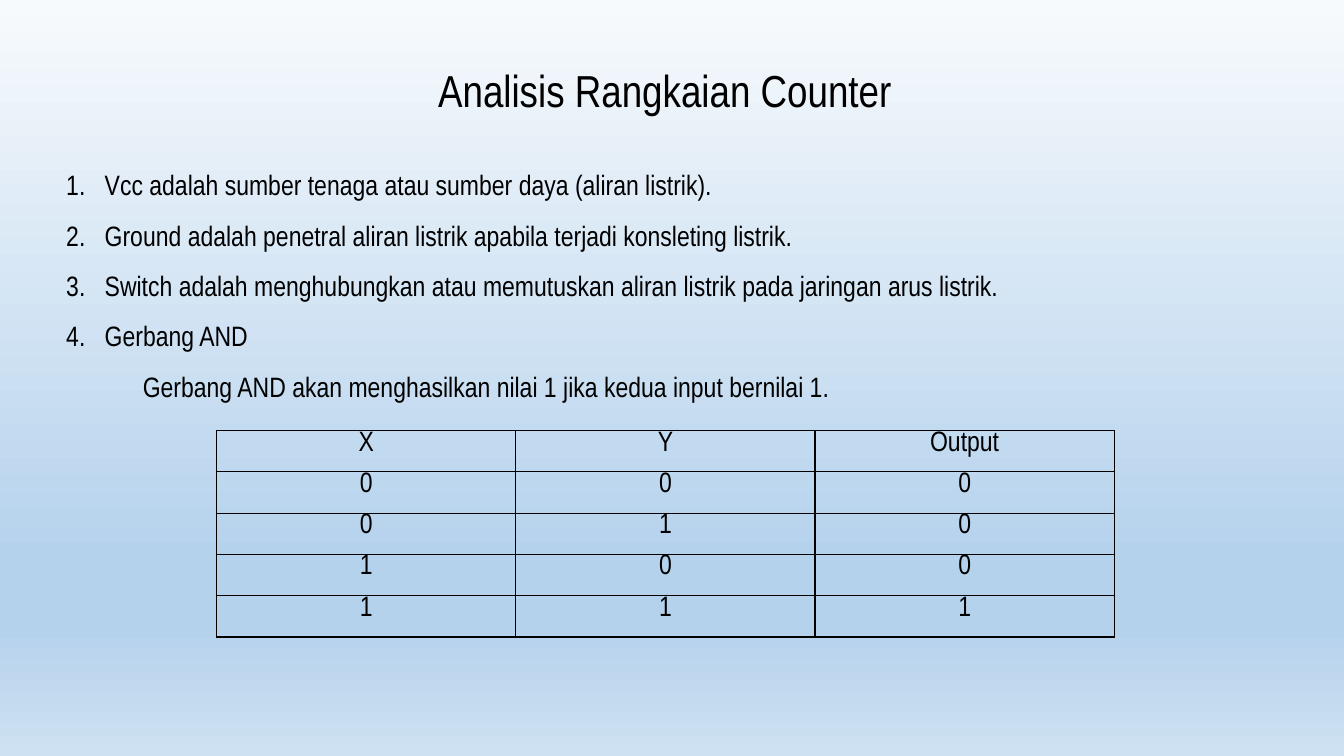
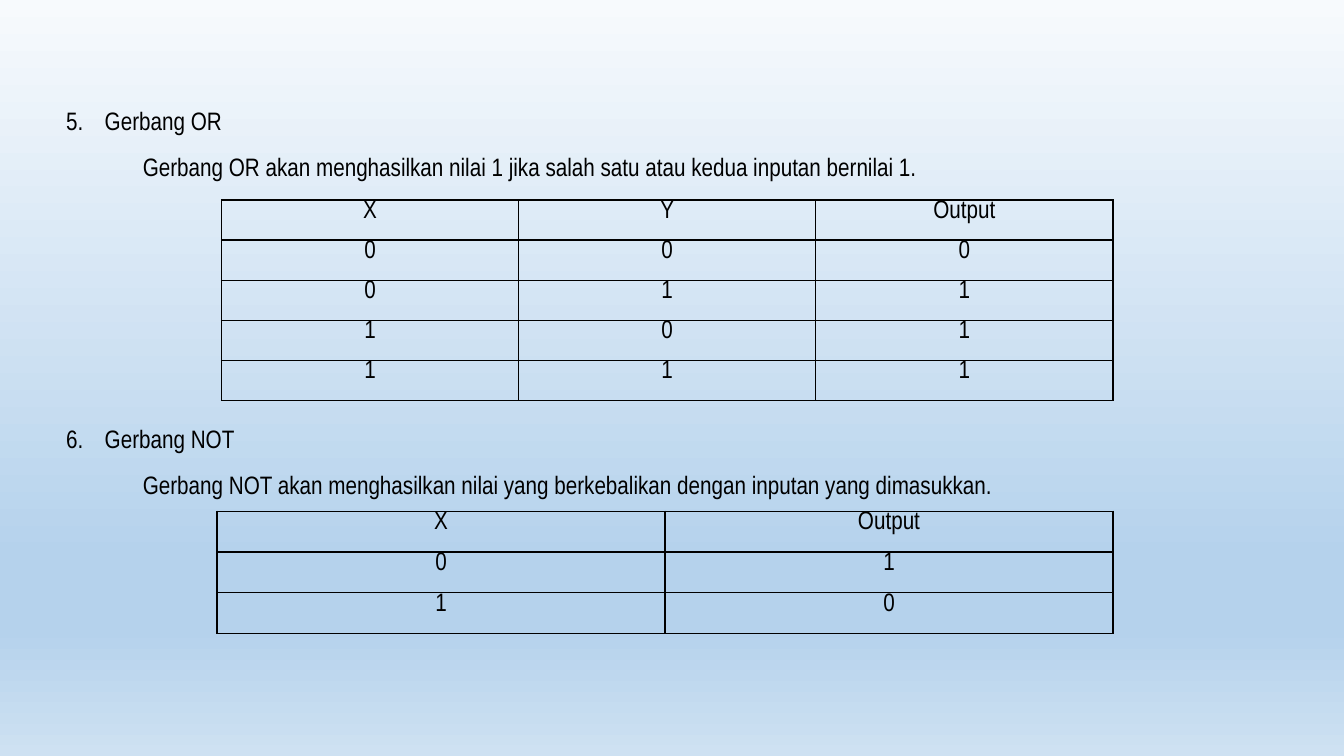
import pptx
import pptx.util
import pptx.dml.color
import pptx.enum.text
import pptx.oxml
import pptx.oxml.ns
from lxml import etree

Cm = pptx.util.Cm
Pt = pptx.util.Pt
RGBColor = pptx.dml.color.RGBColor
Align = pptx.enum.text.PP_ALIGN
Anchor = pptx.enum.text.MSO_ANCHOR
qn = pptx.oxml.ns.qn

BLACK = RGBColor(0x00, 0x00, 0x00)
GRADIENT = [
    (0, RGBColor(0xF7, 0xFA, 0xFD)),
    (74, RGBColor(0xB5, 0xD2, 0xEC)),
    (83, RGBColor(0xB5, 0xD2, 0xEC)),
    (100, RGBColor(0xCE, 0xE1, 0xF2)),
]
FONT = "Arial Narrow"
LEFT, WIDTH = 1.42, 30.68
HANGING, EXPLANATION_INDENT = 0.97, 1.93

SLIDES = [
    {
        "title": "Analisis Rangkaian Counter",
        "size": 20,
        "lists": [
            {
                "top": 3.68, "height": 6.8, "start": 1,
                "items": [
                    "Vcc adalah sumber tenaga atau sumber daya (aliran listrik).",
                    "Ground adalah penetral aliran listrik apabila terjadi konsleting listrik.",
                    "Switch adalah menghubungkan atau memutuskan aliran listrik pada jaringan arus listrik.",
                    "Gerbang AND",
                ],
                "explanation": "Gerbang AND akan menghasilkan nilai 1 jika kedua input bernilai 1.",
            },
        ],
        "tables": [
            {
                "left": 5.46, "top": 10.85, "column": 7.54, "row": 1.04,
                "rows": ["X Y Output", "0 0 0", "0 1 0", "1 0 0", "1 1 1"],
            },
        ],
    },
    {
        "title": None,
        "size": 18,
        "lists": [
            {
                "top": 2.16, "height": 2.7, "start": 5,
                "items": ["Gerbang OR"],
                "explanation": "Gerbang OR akan menghasilkan nilai 1 jika salah satu atau kedua inputan bernilai 1.",
            },
            {
                "top": 10.17, "height": 2.7, "start": 6,
                "items": ["Gerbang NOT"],
                "explanation": "Gerbang NOT akan menghasilkan nilai yang berkebalikan dengan inputan yang dimasukkan.",
            },
        ],
        "tables": [
            {
                "left": 5.58, "top": 5.04, "column": 7.49, "row": 1.01,
                "rows": ["X Y Output", "0 0 0", "0 1 1", "1 0 1", "1 1 1"],
            },
            {
                "left": 5.47, "top": 12.88, "column": 11.29, "row": 1.03,
                "rows": ["X Output", "0 1", "1 0"],
            },
        ],
    },
]


def set_background(master):
    fill = master.background.fill
    fill.gradient()
    fill.gradient_angle = 270
    stops = master.element.find(".//" + qn("a:gsLst"))
    for stop in list(stops):
        stops.remove(stop)
    for percent, color in GRADIENT:
        stop = etree.SubElement(stops, qn("a:gs"), pos=str(percent * 1000))
        etree.SubElement(stop, qn("a:srgbClr"), val=str(color))


def format_paragraph(paragraph, size, alignment, spacing=1.0):
    paragraph.alignment = alignment
    paragraph.line_spacing = spacing
    paragraph.space_before = paragraph.space_after = Pt(0)
    for run in paragraph.runs:
        run.font.name = FONT
        run.font.size = Pt(size)
        run.font.color.rgb = BLACK


def add_title(slide, text):
    title = slide.shapes.title
    title.left, title.top = Cm(LEFT), Cm(0.89)
    title.width, title.height = Cm(WIDTH), Cm(2.18)
    title.text_frame.text = text
    title.text_frame.vertical_anchor = Anchor.BOTTOM
    format_paragraph(title.text_frame.paragraphs[0], 32, Align.CENTER, 0.9)


def add_list(slide, content, size):
    box = slide.shapes.add_textbox(Cm(LEFT), Cm(content["top"]), Cm(WIDTH), Cm(content["height"]))
    frame = box.text_frame
    frame.word_wrap = True
    frame.text = "\n".join(content["items"] + [content["explanation"]])
    for paragraph in frame.paragraphs:
        format_paragraph(paragraph, size, Align.JUSTIFY, 1.5)
        properties = paragraph._p.get_or_add_pPr()
        if paragraph.text == content["explanation"]:
            properties.set("indent", str(Cm(EXPLANATION_INDENT)))
        else:
            properties.set("marL", str(Cm(HANGING)))
            properties.set("indent", str(-Cm(HANGING)))
            etree.SubElement(properties, qn("a:buAutoNum"), type="arabicPeriod",
                             startAt=str(content["start"]))


def format_cell(cell, size):
    cell.margin_top = cell.margin_bottom = 0
    properties = cell._tc.get_or_add_tcPr()
    for side in ("lnL", "lnR", "lnT", "lnB"):
        line = etree.SubElement(properties, qn("a:" + side), w=str(Pt(1)))
        solid = etree.SubElement(line, qn("a:solidFill"))
        etree.SubElement(solid, qn("a:srgbClr"), val=str(BLACK))
    cell.fill.background()
    format_paragraph(cell.text_frame.paragraphs[0], size, Align.CENTER)


def add_truth_table(slide, content, size):
    rows = [row.split() for row in content["rows"]]
    column_count = len(rows[0])
    table = slide.shapes.add_table(
        len(rows), column_count, Cm(content["left"]), Cm(content["top"]),
        Cm(content["column"] * column_count), Cm(content["row"] * len(rows))).table
    table.first_row = table.horz_banding = False
    for column in table.columns:
        column.width = Cm(content["column"])
    for row, values in zip(table.rows, rows):
        row.height = Cm(content["row"])
        for cell, value in zip(row.cells, values):
            cell.text_frame.text = value
            format_cell(cell, size)


presentation = pptx.Presentation()
presentation.slide_width, presentation.slide_height = Cm(33.87), Cm(19.05)
set_background(presentation.slide_master)
title_only, blank = presentation.slide_layouts[5], presentation.slide_layouts[6]

for page in SLIDES:
    slide = presentation.slides.add_slide(title_only if page["title"] else blank)
    if page["title"]:
        add_title(slide, page["title"])
    for numbered_list in page["lists"]:
        add_list(slide, numbered_list, page["size"])
    for truth_table in page["tables"]:
        add_truth_table(slide, truth_table, page["size"])

presentation.save("out.pptx")
